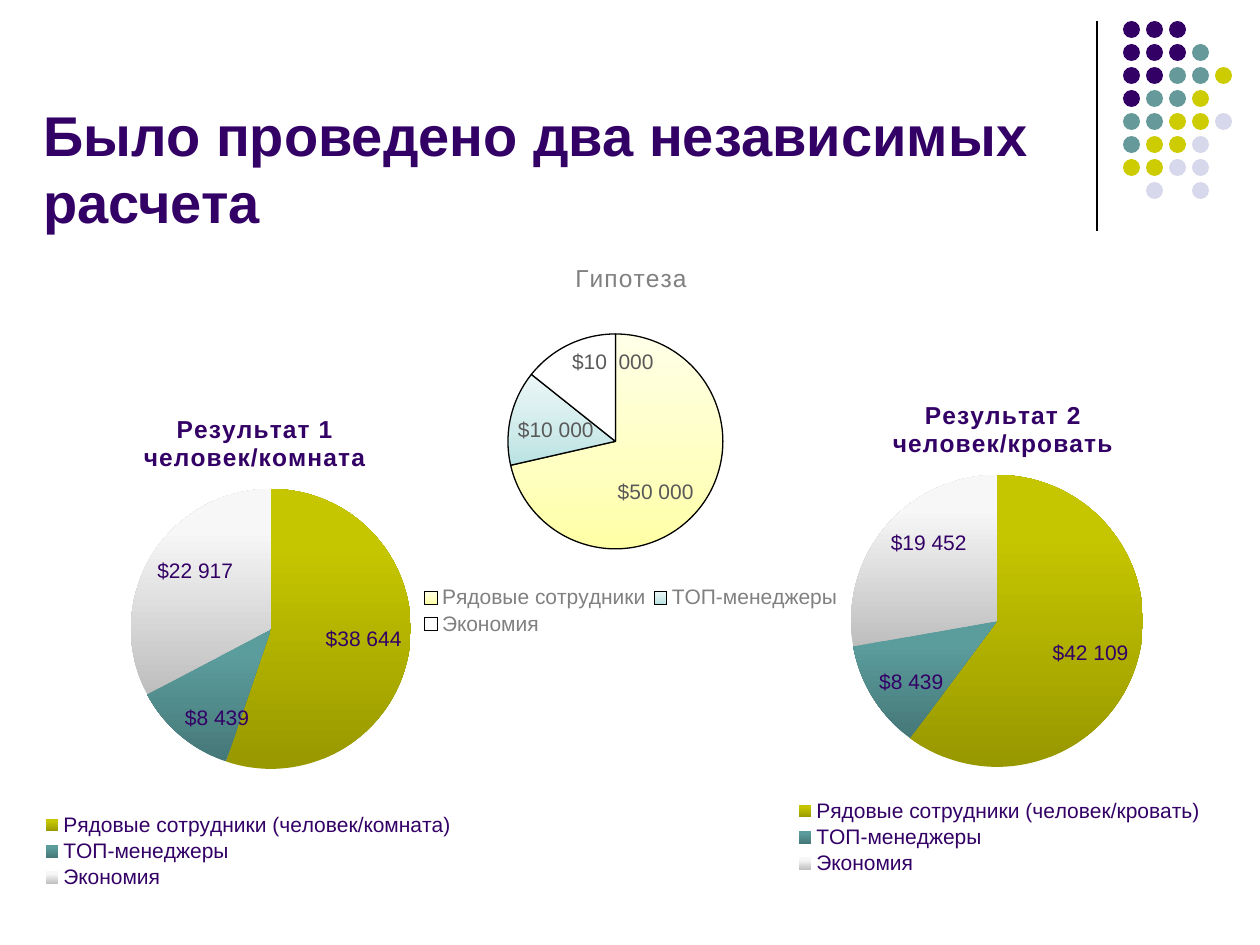
from lxml import etree
from pptx import Presentation, util as u
from pptx.chart.data import CategoryChartData
from pptx.dml.color import RGBColor
from pptx.enum import chart as ch, shapes, text
from pptx.oxml import parse_xml
from pptx.oxml.ns import nsdecls, qn

PX = 914400 / 126
FONT = "Arial"
BLACK = RGBColor(0, 0, 0)
WHITE = RGBColor(0xFF, 0xFF, 0xFF)
PURPLE = RGBColor(0x33, 0x00, 0x66)
TEAL = RGBColor(0x66, 0x99, 0x99)
LIME = RGBColor(0xCC, 0xCC, 0x00)
LAVENDER = RGBColor(0xD8, 0xD8, 0xEC)
GREY = RGBColor(0x80, 0x80, 0x80)
DARK_GREY = RGBColor(0x59, 0x59, 0x59)


def gradient(middle, *colors):
    return list(zip((0, middle, 100), map(RGBColor.from_string, colors)))


PALE_FILLS = [gradient(35, "FFFFA5", "FFFFBF", "FFFFE7"),
              gradient(35, "B9E2E2", "CEEAEA", "ECF7F7"),
              WHITE]
RICH_FILLS = [gradient(80, "989800", "C6C600", "C7C700"),
              gradient(80, "467878", "5B9C9C", "5B9E9E"),
              gradient(80, "BEBEBE", "F7F7F7", "F8F8F8")]
DOT_COLORS = {"p": PURPLE, "t": TEAL, "y": LIME, "l": LAVENDER}
DOT_ROWS = ["ppp", "pppt", "pptty", "ptty", "ttyyl", "tyyl", "yyll", ".l.l"]


def px(*lengths):
    return [u.Emu(round(n * PX)) for n in lengths]


def style(font, size, color, bold=False):
    font.name = FONT
    font.size = u.Pt(size)
    font.bold = bold
    font.color.rgb = color


def write(tf, lines, size=12, color=BLACK, bold=False, spacing=0):
    for i, line in enumerate(lines):
        p = tf.add_paragraph() if i else tf.paragraphs[0]
        r = p.add_run()
        r.text = line
        style(r.font, size, color, bold)
        if spacing:
            r._r.get_or_add_rPr().set("spc", str(spacing))


def add_title(s, line):
    tf = s.shapes.add_textbox(*px(31, 31, 1061, 210)).text_frame
    tf.word_wrap = True
    tf.vertical_anchor = text.MSO_ANCHOR.BOTTOM
    write(tf, [line], size=32, color=PURPLE, bold=True)


def add_rule(s):
    line = s.shapes.add_connector(shapes.MSO_CONNECTOR.STRAIGHT, *px(1097, 21, 1097, 231))
    line.line.color.rgb = BLACK
    line.line.width = u.Pt(0.75)
    etree.SubElement(line._element.spPr, qn("a:effectLst"))


def add_dots(s, left=1123, top=21, size=17, pitch=23):
    group = s.shapes.add_group_shape()
    for row, codes in enumerate(DOT_ROWS):
        for col, code in enumerate(codes):
            if code in DOT_COLORS:
                box = px(left + col * pitch, top + row * pitch, size, size)
                dot = group.shapes.add_shape(shapes.MSO_SHAPE.OVAL, *box)
                dot.shadow.inherit = False
                dot.fill.solid()
                dot.fill.fore_color.rgb = DOT_COLORS[code]
                dot.line.fill.background()


def place(element, index, frame, box, inner=False):
    for old in element.findall(qn("c:layout")):
        element.remove(old)
    x, y, w, h = frame
    values = [("xMode", "edge"), ("yMode", "edge"),
              ("x", round((box[0] - x) / w, 4)), ("y", round((box[1] - y) / h, 4))]
    if len(box) == 4:
        values += [("w", round(box[2] / w, 4)), ("h", round(box[3] / h, 4))]
    if inner:
        values.insert(0, ("layoutTarget", "inner"))
    parts = "".join(f'<c:{tag} val="{val}"/>' for tag, val in values)
    element.insert(index, parse_xml(
        f'<c:layout {nsdecls("c")}><c:manualLayout>{parts}</c:manualLayout></c:layout>'))


def fill_slice(series, index, fill, outline):
    fmt = series.points[index].format
    if isinstance(fill, RGBColor):
        fmt.fill.solid()
        fmt.fill.fore_color.rgb = fill
    else:
        fmt.fill.gradient()
        grad = series._element.xpath(f'c:dPt[c:idx/@val="{index}"]/c:spPr/a:gradFill')[0]
        stops = "".join(f'<a:gs pos="{pos * 1000}"><a:srgbClr val="{color}"/></a:gs>'
                        for pos, color in fill)
        grad.getparent().replace(grad, parse_xml(
            f'<a:gradFill {nsdecls("a")} rotWithShape="1"><a:gsLst>{stops}</a:gsLst>'
            '<a:lin ang="16200000" scaled="0"/></a:gradFill>'))
    if outline:
        fmt.line.color.rgb = BLACK
        fmt.line.width = u.Pt(0.75)
    else:
        fmt.line.fill.background()


def add_pie(s, frame, title, title_at, pie, legend, staff, values, fills,
            color=PURPLE, label_color=PURPLE, bold=True, outline=False, labels=()):
    data = CategoryChartData(number_format="General")
    data.categories = [staff, "ТОП-менеджеры", "Экономия"]
    data.add_series("Series 1", values)
    chart = s.shapes.add_chart(ch.XL_CHART_TYPE.PIE, *px(*frame), data).chart
    style(chart.font, 10, BLACK)
    chart.has_title = True
    write(chart.chart_title.text_frame, title, size=14, color=color, bold=bold, spacing=50)
    chart.has_legend = True
    chart.legend.position = ch.XL_LEGEND_POSITION.BOTTOM
    chart.legend.include_in_layout = False
    style(chart.legend.font, 12, color)
    place(chart.chart_title._element, 1, frame, title_at)
    place(chart.legend._element, 1, frame, legend)
    place(chart._chartSpace.chart.plotArea, 0, frame, pie, inner=True)

    plot = chart.plots[0]
    plot.vary_by_categories = True
    series = plot.series[0]
    for i, fill in enumerate(fills):
        fill_slice(series, i, fill, outline)
    dl = series.data_labels
    dl.show_value = True
    dl.number_format = r"[$$-409]#\ ##0"
    dl.number_format_is_linked = False
    dl.position = ch.XL_LABEL_POSITION.INSIDE_END
    style(dl.font, 12, label_color)
    for i, label in enumerate(labels):
        point_label = series.points[i].data_label
        write(point_label.text_frame, [label], color=label_color)
        point_label.position = ch.XL_LABEL_POSITION.INSIDE_END


def main():
    prs = Presentation()
    prs.slide_width, prs.slide_height = px(1260, 945)
    s = prs.slides.add_slide(prs.slide_layouts[6])
    add_rule(s)
    add_dots(s)
    add_title(s, "Было проведено два независимых расчета")
    add_pie(s, (362, 229, 535, 412), ["Гипотеза"], (571, 258),
            (508, 334, 215, 215), (416, 583, 430, 56),
            "Рядовые сотрудники", (50, 10, 10), PALE_FILLS,
            color=GREY, label_color=DARK_GREY, bold=False, outline=True,
            labels=("$50 000", "$10 000", "$10  000"))
    add_pie(s, (0, 387, 496, 508), ["Результат 1", "человек/комната"], (140, 410),
            (131, 489, 280, 280), (41, 810, 415, 83),
            "Рядовые сотрудники (человек/комната)", (38644, 8439, 22917), RICH_FILLS)
    add_pie(s, (748, 373, 496, 508), ["Результат 2", "человек/кровать"], (889, 396),
            (851, 475, 292, 292), (792, 796, 415, 83),
            "Рядовые сотрудники (человек/кровать)", (42109, 8439, 19452), RICH_FILLS)
    prs.save("out.pptx")


if __name__ == "__main__":
    main()
